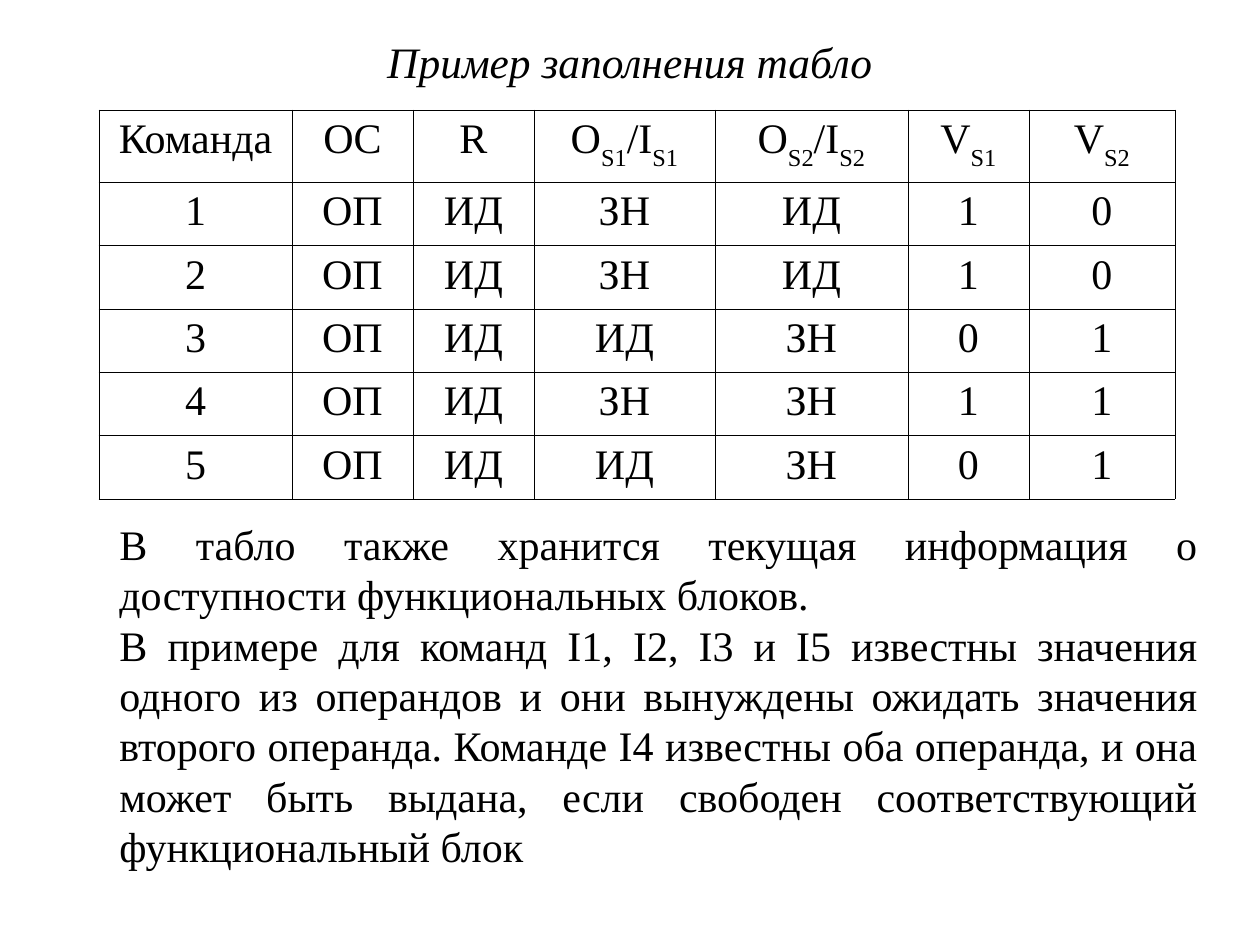
import pptx
import pptx.dml.color
import pptx.enum.text
import pptx.oxml
import pptx.oxml.ns
import pptx.util

PX = pptx.util.Inches(1) / 126
BLACK = pptx.dml.color.RGBColor(0, 0, 0)
FONT = "Times New Roman"
BODY_SIZE = 24
TITLE_SIZE = 24.8
BORDER_WIDTH = pptx.util.Pt(0.45)
ALIGN = pptx.enum.text.PP_ALIGN

TITLE = "Пример заполнения табло"
NOTES = [
    "В табло также хранится текущая информация о доступности функциональных блоков.",
    "В примере для команд I1, I2, I3 и I5 известны значения одного из операндов "
    "и они вынуждены ожидать значения второго операнда. Команде I4 известны оба "
    "операнда, и она может быть выдана, если свободен соответствующий "
    "функциональный блок",
]
HEADERS = [
    ["Команда"], ["OC"], ["R"],
    ["О", "S1", "/I", "S1"], ["О", "S2", "/I", "S2"],
    ["V", "S1"], ["V", "S2"],
]
COMMANDS = [
    ["ЗН", "ИД", "1", "0"],
    ["ЗН", "ИД", "1", "0"],
    ["ИД", "ЗН", "0", "1"],
    ["ЗН", "ЗН", "1", "1"],
    ["ИД", "ЗН", "0", "1"],
]
COLUMN_WIDTHS = [193, 121, 121, 181, 193, 121, 146]
HEADER_HEIGHT = 72


def emu(length):
    return round(length * PX)


def style_span(span, size=BODY_SIZE, italic=False):
    span.font.name = FONT
    span.font.size = pptx.util.Pt(size)
    span.font.italic = italic
    span.font.color.rgb = BLACK


def add_text(page, left, top, width, height):
    box = page.shapes.add_textbox(*map(emu, (left, top, width, height)))
    box.text_frame.word_wrap = True
    return box.text_frame


def add_title(page, left, top, width, height):
    frame = add_text(page, left, top, width, height)
    frame.vertical_anchor = pptx.enum.text.MSO_ANCHOR.MIDDLE
    frame.text = TITLE
    para = frame.paragraphs[0]
    para.alignment = ALIGN.CENTER
    style_span(para.runs[0], TITLE_SIZE, italic=True)


def add_notes(page, left, top, width, height):
    frame = add_text(page, left, top, width, height)
    frame.text = "\n".join(NOTES)
    for para in frame.paragraphs:
        para.alignment = ALIGN.JUSTIFY
        para.level = 1
        properties = para._p.get_or_add_pPr()
        properties.set("marL", str(emu(63)))
        properties.set("indent", "0")
        style_span(para.runs[0])


def add_borders(cell):
    properties = cell._tc.get_or_add_tcPr()
    for position, side in enumerate(("lnL", "lnR", "lnT", "lnB")):
        line = pptx.oxml.parse_xml(
            f'<a:{side} {pptx.oxml.ns.nsdecls("a")} w="{BORDER_WIDTH}">'
            f'<a:solidFill><a:srgbClr val="{BLACK}"/></a:solidFill></a:{side}>'
        )
        properties.insert(position, line)


def fill_cell(cell, parts):
    cell.fill.background()
    para = cell.text_frame.paragraphs[0]
    para.alignment = ALIGN.CENTER
    for position, part in enumerate(parts):
        span = para.add_run()
        span.text = part
        style_span(span)
        if position % 2:
            span.font._element.set("baseline", "-30000")
    add_borders(cell)


def add_scoreboard(page, left, top, height):
    rows = [HEADERS] + [
        [[text] for text in (str(number), "ОП", "ИД", *values)]
        for number, values in enumerate(COMMANDS, 1)
    ]
    row_height = (height - HEADER_HEIGHT) / len(COMMANDS)
    table = page.shapes.add_table(
        len(rows), len(COLUMN_WIDTHS),
        emu(left), emu(top), emu(sum(COLUMN_WIDTHS)), emu(height),
    ).table
    table.first_row = False
    table.horz_banding = False
    for column, width in zip(table.columns, COLUMN_WIDTHS):
        column.width = emu(width)
    for position, (row, values) in enumerate(zip(table.rows, rows)):
        row.height = emu(row_height if position else HEADER_HEIGHT)
        for cell, parts in zip(row.cells, values):
            fill_cell(cell, parts)


def main():
    deck = pptx.Presentation()
    deck.slide_width = emu(1260)
    deck.slide_height = emu(945)
    page = deck.slides.add_slide(deck.slide_layouts[6])
    add_title(page, 0, 27, 1260, 69)
    add_notes(page, 44, 512, 1166, 387)
    add_scoreboard(page, 99, 110, 389)
    deck.save("out.pptx")


if __name__ == "__main__":
    main()
